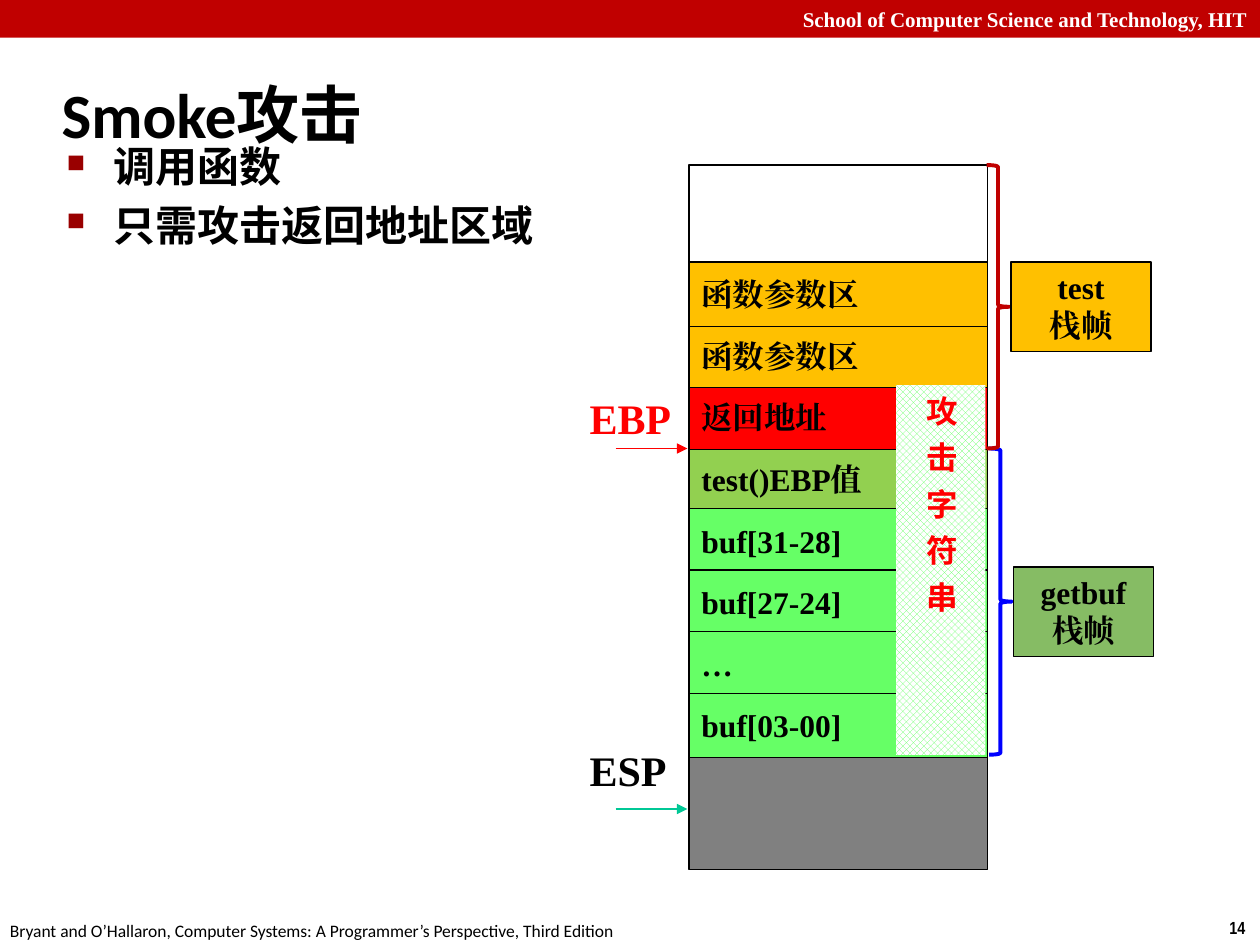
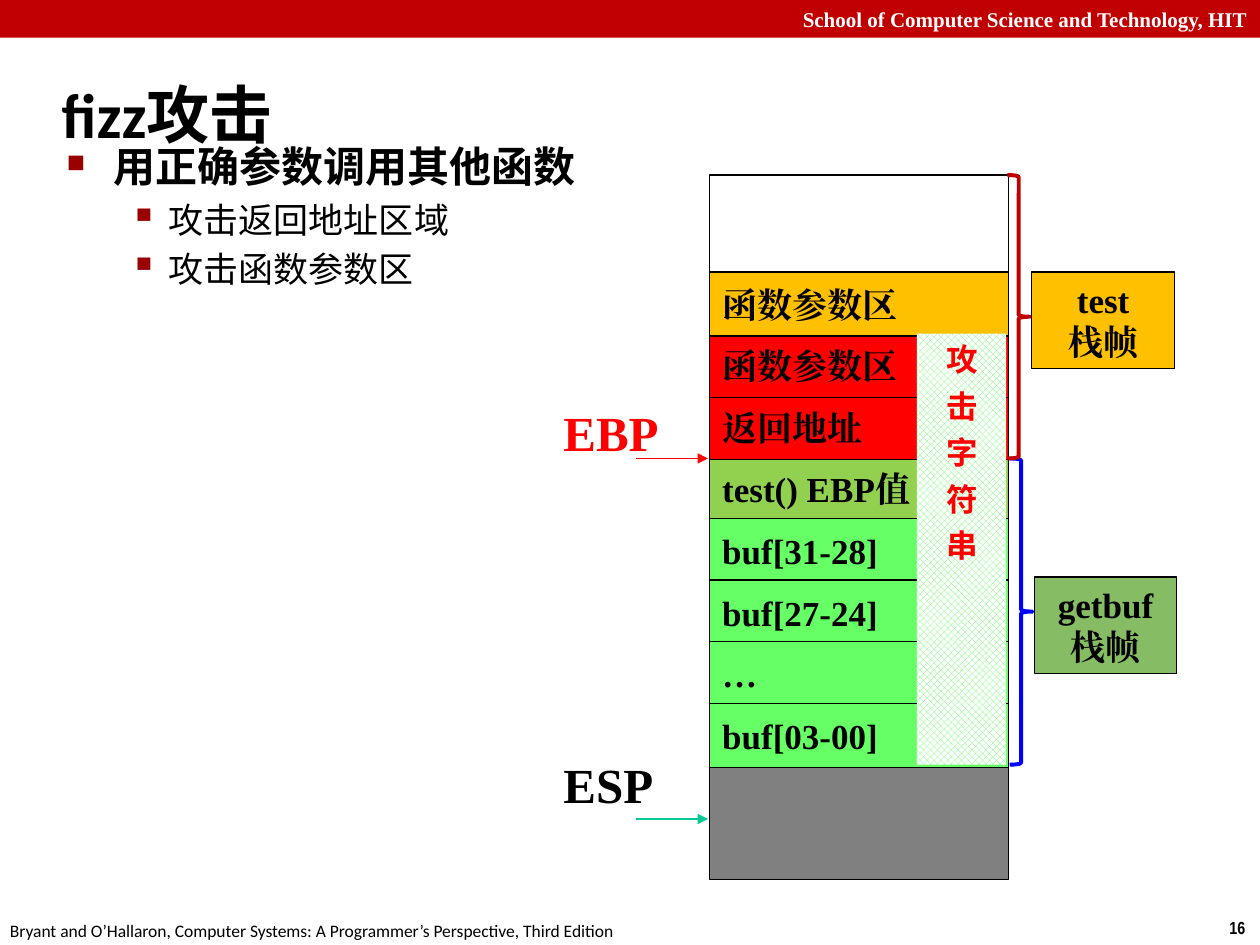
from pptx import Presentation
from pptx.dml.color import RGBColor as Rgb
from pptx.enum.dml import MSO_PATTERN as Pat
from pptx.enum.shapes import MSO_CONNECTOR as Conn, MSO_SHAPE as Geo
from pptx.enum.text import MSO_ANCHOR as Anc, MSO_AUTO_SIZE as Fit, PP_ALIGN as Al
from pptx.oxml.ns import qn
from pptx.util import Pt
from lxml.etree import SubElement as Sub

HUES = dict(black="000000", white="FFFFFF", band="C00000", mark="990000",
            red="FF0000", gold="FFC000", olive="92D050", lime="66FF66",
            sage="86BC64", gray="808080", blue="0000FF", teal="00C896")
SERIF, SANS, NARROW, HAN = "Times New Roman", "Calibri", "Arial Narrow", "Noto Sans CJK SC"
STEP, HEAD, TALL, WIDE = 35.2, 55.4, 36.7, 170.6


def hue(name):
    """Return the colour of that name."""
    return Rgb.from_string(HUES[name])


def write(frame, lines, size=18, font=SERIF, ink="black", bold=True,
          align=Al.LEFT, anchor=Anc.TOP, wrap=True, gap=0):
    """Fill a text frame with one paragraph per line."""
    frame.word_wrap, frame.vertical_anchor = wrap, anchor
    frame.auto_size = Fit.NONE
    for i, line in enumerate(lines):
        para = frame.paragraphs[0] if i == 0 else frame.add_paragraph()
        para.alignment = align
        run = para.add_run()
        run.text = line
        face = run.font
        face.size, face.name, face.bold = Pt(size), font, bold
        face.color.rgb = hue(ink)
        props = run._r.get_or_add_rPr()
        Sub(props, qn("a:ea")).set("typeface", font)
        if gap:
            props.set("spc", str(gap))


def shape(slide, box, fill=None, line=None, width=0.75, geo=Geo.RECTANGLE):
    """Add a preset shape with a plain fill and line."""
    item = slide.shapes.add_shape(geo, *map(Pt, box))
    item.shadow.inherit = False
    if fill:
        item.fill.solid()
        item.fill.fore_color.rgb = hue(fill)
    else:
        item.fill.background()
    if line:
        item.line.color.rgb = hue(line)
        item.line.width = Pt(width)
    else:
        item.line.fill.background()
    return item


def text(slide, box, lines, **form):
    """Add a text box."""
    frame = slide.shapes.add_textbox(*map(Pt, box)).text_frame
    write(frame, lines, **form)
    return frame


def arrow(slide, x, y, span, ink):
    """Draw an arrow to the right."""
    item = slide.shapes.add_connector(Conn.STRAIGHT, Pt(x), Pt(y), Pt(x + span), Pt(y))
    item.line.color.rgb = hue(ink)
    item.line.width = Pt(0.75)
    Sub(item.line._get_or_add_ln(), qn("a:tailEnd")).set("type", "triangle")
    Sub(item._element.spPr, qn("a:effectLst"))


def base(deck, title, page):
    """Add a slide with its band, title and footer."""
    slide = deck.slides.add_slide(deck.slide_layouts[5])
    band = shape(slide, (0, 0, 720, 21.6), "band")
    write(band.text_frame, ["School of Computer Science and Technology, HIT"],
          size=12, ink="white", align=Al.RIGHT, anchor=Anc.MIDDLE)
    text(slide, (-1.4, 522, 366, 19.4),
         ["Bryant and O’Hallaron, Computer Systems: A Programmer’s Perspective, Third Edition"],
         size=10, font=SANS, bold=False, wrap=False)
    text(slide, (695.5, 520.6, 24.5, 19.4), [page], size=10, font=NARROW, wrap=False)
    head = slide.shapes.title
    head.left, head.top, head.width, head.height = map(Pt, (28, 34.6, 692, 59.8))
    write(head.text_frame, [title], size=36, font=SANS, anchor=Anc.MIDDLE)
    return slide


def points(slide, box, items):
    """List bullet points, given as pairs of level and line."""
    frame = text(slide, box, [line for _, line in items], size=24, font=SANS)
    for para, (level, _) in zip(frame.paragraphs, items):
        size, left, hang, mark, scale = [(24, 27, 27, "■", 60), (20, 58.3, 22.3, "▪", 110)][level]
        para.level, para.space_before = level, Pt(size / 5)
        face = para.runs[0].font
        face.size, face.bold = Pt(size), level == 0
        props = para._p.get_or_add_pPr()
        props.set("marL", str(Pt(left)))
        props.set("indent", str(-Pt(hang)))
        Sub(Sub(props, qn("a:buClr")), qn("a:srgbClr")).set("val", HUES["mark"])
        Sub(props, qn("a:buSzPct")).set("val", str(scale * 1000))
        Sub(props, qn("a:buChar")).set("char", mark)


def attack(slide, x, y, high):
    """Lay the attack string over the stack."""
    item = shape(slide, (x, y, 51, high), "white")
    item.fill.patterned()
    item.fill.pattern = Pat.LARGE_CHECKER_BOARD
    item.fill.fore_color.rgb, item.fill.back_color.rgb = hue("lime"), hue("white")
    frame = item.text_frame
    write(frame, ["攻 击 字 符 串"], font=HAN, ink="red", anchor=Anc.MIDDLE, gap=215)
    frame.margin_top = Pt(6)
    frame._txBody.bodyPr.set("vert", "eaVert")


def stack(slide, x, y, rows, first, size, mark, reach, tag):
    """Draw the stack with its pointers, frames and attack string."""
    shape(slide, (x, y + 162, WIDE, 240.5), "gray", "black")
    shape(slide, (x, y, WIDE, 162), "white", "black")
    for name, ink, tip, down, drop in (("EBP", "red", "red", 126.7, 162),
                                       ("ESP", "black", "teal", 327.4, 368)):
        text(slide, (x - reach, y + down, reach, 40), [name], size=mark, ink=ink)
        arrow(slide, x - 42, y + drop, 41, tip)
    for i in (3, 4, 5, 6, 7, 2, 1, 0):
        label, fill = rows[i]
        cell = shape(slide, (x, y + HEAD + i * STEP, WIDE, TALL), fill, "black")
        write(cell.text_frame, [label], size=size, anchor=Anc.MIDDLE)
    for lines, fill, ink, left, top, high, drop in (
            (["getbuf栈帧"], "sage", "blue", 171.4, 162, 175, 229.7),
            (["test", "栈帧"], "gold", "band", 170, 0, 162, HEAD)):
        shape(slide, (x + left, y + top, 13, high), None, ink, 2.25, Geo.RIGHT_BRACE)
        item = shape(slide, (x + left + 14, y + drop, tag, 2.15 * size + 12.4), fill, "black")
        write(item.text_frame, lines, size=size, align=Al.CENTER)
    attack(slide, x + 118.3, y + HEAD + first * STEP, (8 - first) * STEP)


def cells(second, saved):
    """Give the label and fill of each stack row."""
    bufs = ["buf[31-28]", "buf[27-24]", "…", "buf[03-00]"]
    return [("函数参数区", "gold"), ("函数参数区", second), ("返回地址", "red"),
            (saved, "olive")] + [(buf, "lime") for buf in bufs]


def main():
    """Build both slides and save them."""
    deck = Presentation()
    deck.slide_width, deck.slide_height = Pt(720), Pt(540)
    body = (31, 77, 311.8, 396.7)
    smoke = base(deck, "Smoke攻击", "14")
    points(smoke, body, [(0, "调用函数"), (0, "只需攻击返回地址区域")])
    stack(smoke, 393.8, 94.3, cells("gold", "test()EBP值"), first=2,
          size=18, mark=24, reach=64, tag=80)
    fizz = base(deck, "fizz攻击", "16")
    points(fizz, body, [(0, "用正确参数调用其他函数"), (1, "攻击返回地址区域"),
                        (1, "攻击函数参数区")])
    stack(fizz, 405.6, 100, cells("red", "test() EBP值"), first=1,
          size=20, mark=28, reach=90.7, tag=81.5)
    deck.save("out.pptx")


main()
